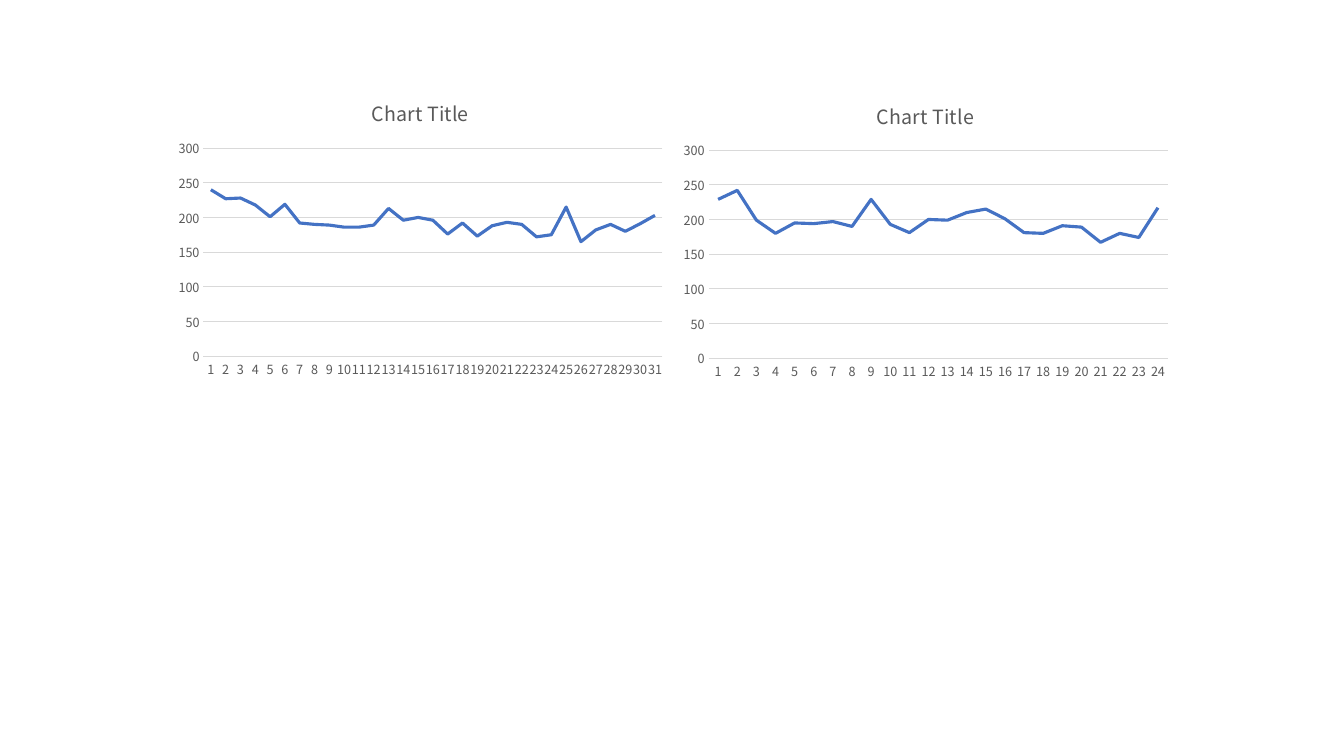
import dataclasses

import pptx
import pptx.chart.data
import pptx.dml.color
import pptx.enum.chart
import pptx.util

Inches = pptx.util.Inches
Pt = pptx.util.Pt


@dataclasses.dataclass(frozen=True)
class Theme:
    font: str = "Noto Sans CJK SC"
    text: str = "595959"
    rule: str = "D9D9D9"
    series: str = "4472C4"
    title_size: float = 14
    chart_size: float = 10
    label_size: float = 9
    rule_width: float = 0.75
    series_width: float = 2.25


THEME = Theme()

LEFT_VALUES = [
    240, 227, 228, 218, 201, 219, 192, 190, 189, 186, 186, 189, 213, 196, 200, 196,
    176, 192, 173, 188, 193, 190, 172, 175, 215, 165, 182, 190, 180, 191, 203,
]
RIGHT_VALUES = [
    229, 242, 199, 180, 195, 194, 197, 190, 229, 193, 181, 200,
    199, 210, 215, 201, 181, 180, 191, 189, 167, 180, 174, 217,
]


def rgb(color):
    return pptx.dml.color.RGBColor.from_string(color)


def style_font(font, size):
    font.name = THEME.font
    font.size = Pt(size)
    font.bold = False
    font.color.rgb = rgb(THEME.text)


def style_line(line, color, width):
    line.color.rgb = rgb(color)
    line.width = Pt(width)


def style_axis(axis):
    axis.major_tick_mark = pptx.enum.chart.XL_TICK_MARK.NONE
    axis.minor_tick_mark = pptx.enum.chart.XL_TICK_MARK.NONE
    style_font(axis.tick_labels.font, THEME.label_size)


def add_line_chart(s, left, top, width, height, values):
    data = pptx.chart.data.CategoryChartData()
    data.categories = [str(i) for i in range(1, len(values) + 1)]
    data.add_series("Series 1", values)
    chart = s.shapes.add_chart(
        pptx.enum.chart.XL_CHART_TYPE.LINE,
        Inches(left), Inches(top), Inches(width), Inches(height), data,
    ).chart
    chart.font.name = THEME.font
    chart.font.size = Pt(THEME.chart_size)
    chart.has_legend = False

    chart.has_title = True
    p = chart.chart_title.text_frame.paragraphs[0]
    p.text = "Chart Title"
    style_font(p.runs[0].font, THEME.title_size)
    chart.chart_title.include_in_layout = False

    cat_axis = chart.category_axis
    style_axis(cat_axis)
    style_line(cat_axis.format.line, THEME.rule, THEME.rule_width)
    body = cat_axis._element.txPr.bodyPr
    body.set("rot", "-60000000")
    body.set("vert", "horz")

    val_axis = chart.value_axis
    style_axis(val_axis)
    val_axis.minimum_scale = 0
    val_axis.maximum_scale = 300
    val_axis.major_unit = 50
    val_axis.format.line.fill.background()
    val_axis.has_major_gridlines = True
    style_line(val_axis.major_gridlines.format.line, THEME.rule, THEME.rule_width)

    plot = chart.plots[0]
    plot.vary_by_categories = False
    series = plot.series[0]
    series.smooth = False
    series.marker.style = pptx.enum.chart.XL_MARKER_STYLE.NONE
    style_line(series.format.line, THEME.series, THEME.series_width)


def main():
    prs = pptx.Presentation()
    prs.slide_width = Inches(13.33)
    prs.slide_height = Inches(7.5)
    s = prs.slides.add_slide(prs.slide_layouts[6])
    add_line_chart(s, 1.67, 0.81, 5, 3, LEFT_VALUES)
    add_line_chart(s, 6.68, 0.83, 5, 3, RIGHT_VALUES)
    prs.save("out.pptx")


if __name__ == "__main__":
    main()
